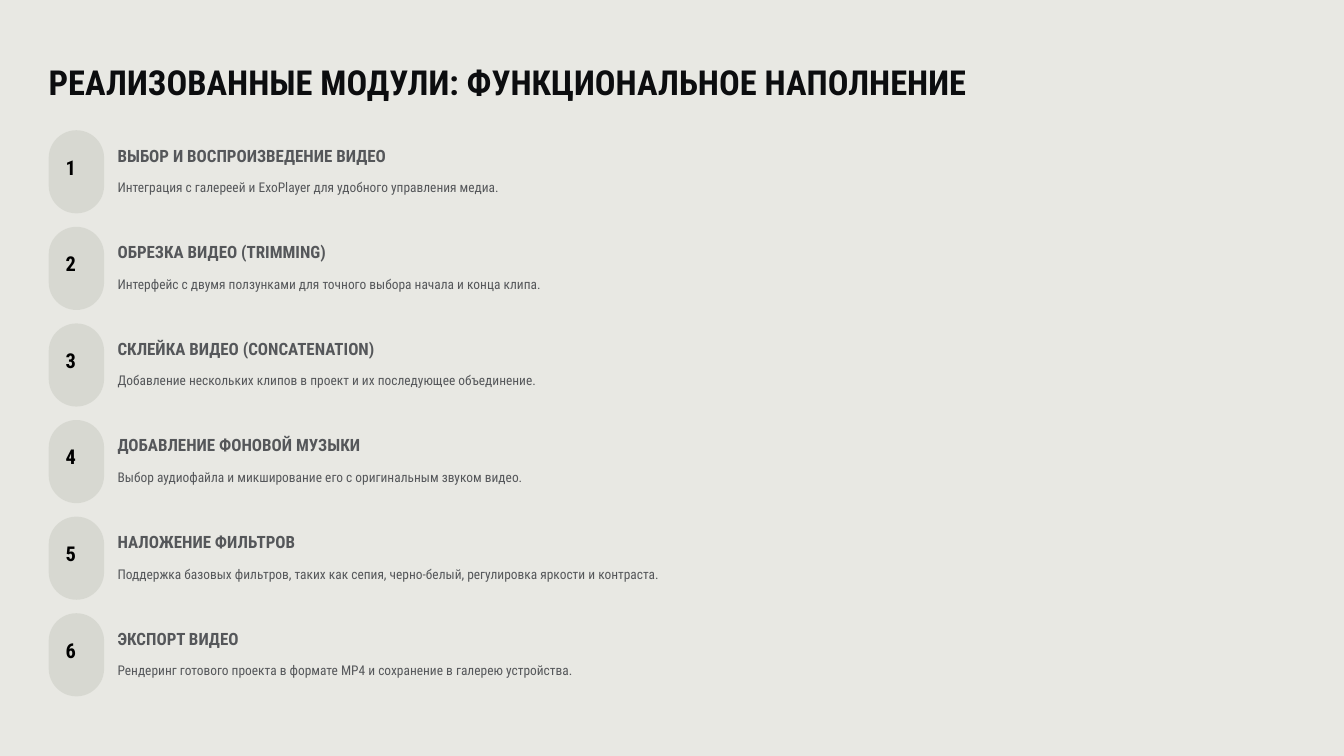
from lxml.etree import SubElement
from pptx import Presentation
from pptx.dml.color import RGBColor
from pptx.enum.shapes import MSO_SHAPE
from pptx.oxml.ns import qn
from pptx.util import Inches, Pt

FONT = "Roboto Condensed"
GRAY = "55575A"
LEFT = 0.58
TEXT_LEFT = 1.4
FIRST_TOP = 1.55
ROW_STEP = 1.15

# heading, heading width, description
MODULES = [
    ("ВЫБОР И ВОСПРОИЗВЕДЕНИЕ ВИДЕО", 3.92,
     "Интеграция с галереей и ExoPlayer для удобного управления медиа."),
    ("ОБРЕЗКА ВИДЕО (TRIMMING)", 3.18,
     "Интерфейс с двумя ползунками для точного выбора начала и конца клипа."),
    ("СКЛЕЙКА ВИДЕО (CONCATENATION)", 3.9,
     "Добавление нескольких клипов в проект и их последующее объединение."),
    ("ДОБАВЛЕНИЕ ФОНОВОЙ МУЗЫКИ", 3.6,
     "Выбор аудиофайла и микширование его с оригинальным звуком видео."),
    ("НАЛОЖЕНИЕ ФИЛЬТРОВ", 2.58,
     "Поддержка базовых фильтров, таких как сепия, черно-белый, регулировка яркости и контраста."),
    ("ЭКСПОРТ ВИДЕО", 2.05,
     "Рендеринг готового проекта в формате MP4 и сохранение в галерею устройства."),
]

presentation = Presentation()
presentation.slide_width = Inches(16)
presentation.slide_height = Inches(9)
slide = presentation.slides.add_slide(presentation.slide_layouts[6])


def set_fill(fill, color, alpha=None):
    """Make a fill solid; alpha is the opacity in percent."""
    fill.solid()
    fill.fore_color.rgb = RGBColor.from_string(color)
    if alpha is not None:
        color_element = fill._xPr.find(".//" + qn("a:srgbClr"))
        SubElement(color_element, qn("a:alpha"), val=str(alpha * 1000))


def add_text(text, left, top, width, height, *, size, line, color=GRAY, bold=False):
    """Add a one-line text box; line is the line spacing in points."""
    box = slide.shapes.add_textbox(Inches(left), Inches(top), Inches(width), Inches(height))
    frame = box.text_frame
    frame.word_wrap = False
    frame.margin_left = frame.margin_top = frame.margin_right = frame.margin_bottom = 0
    paragraph = frame.paragraphs[0]
    paragraph.line_spacing = Pt(line)
    run = paragraph.add_run()
    run.text = text
    run.font.name = FONT
    run.font.size = Pt(size)
    run.font.bold = bold
    set_fill(run.font.fill, color)


set_fill(slide.background.fill, "E8E8E3")
add_text("РЕАЛИЗОВАННЫЕ МОДУЛИ: ФУНКЦИОНАЛЬНОЕ НАПОЛНЕНИЕ", LEFT, 0.71, 13.27, 0.51,
         size=29.5, line=36.5, color="0C0D0F", bold=True)

for index, (heading, heading_width, description) in enumerate(MODULES):
    top = FIRST_TOP + index * ROW_STEP
    badge = slide.shapes.add_shape(MSO_SHAPE.ROUNDED_RECTANGLE, Inches(LEFT), Inches(top),
                                   Inches(0.66), Inches(0.99))
    badge.adjustments[0] = 0.5
    badge.shadow.inherit = False
    badge.line.fill.background()
    set_fill(badge.fill, "C8CAC1", alpha=50)
    add_text(str(index + 1), 0.78, top + 0.34, 0.25, 0.31,
             size=17.5, line=17.5, color="000000", bold=True)
    add_text(heading, TEXT_LEFT, top + 0.17, heading_width, 0.26,
             size=14.5, line=18, bold=True)
    add_text(description, TEXT_LEFT, top + 0.52, 14.03, 0.26, size=11.5, line=18.5)

presentation.save("out.pptx")
